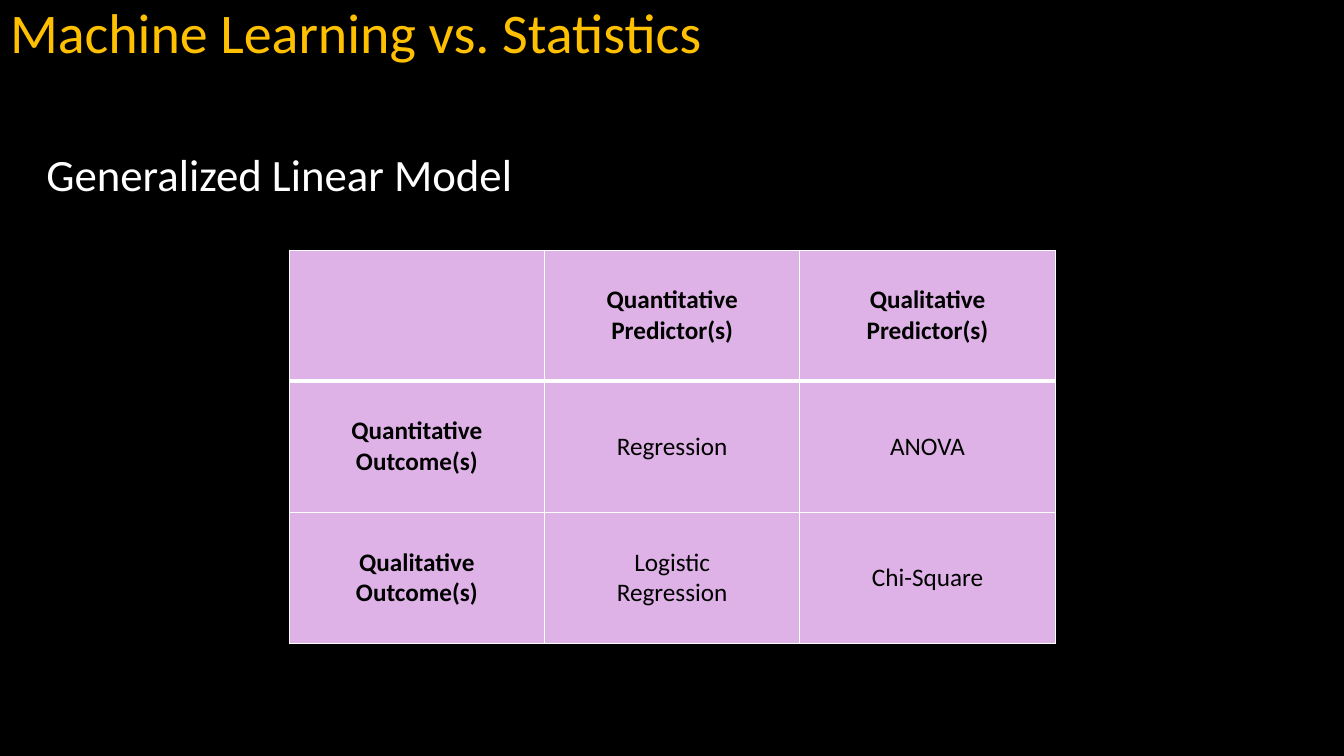
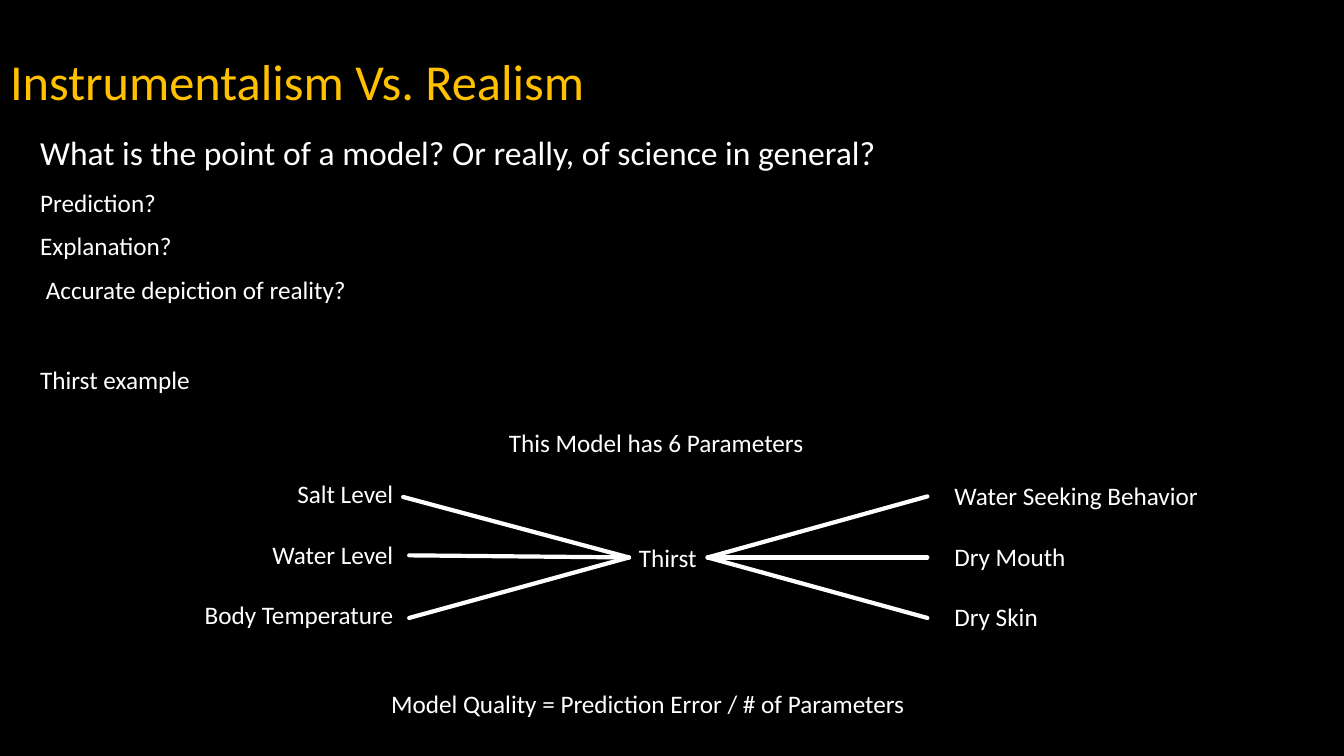
from dataclasses import dataclass

from lxml import etree
from pptx import Presentation
from pptx.dml.color import RGBColor
from pptx.enum.shapes import MSO_CONNECTOR
from pptx.enum.text import MSO_ANCHOR, PP_ALIGN
from pptx.oxml.ns import qn
from pptx.util import Pt

LEFT, CENTER, RIGHT = PP_ALIGN.LEFT, PP_ALIGN.CENTER, PP_ALIGN.RIGHT
MIDDLE = MSO_ANCHOR.MIDDLE
STRAIGHT = MSO_CONNECTOR.STRAIGHT
LEFT_SIDE, RIGHT_SIDE = 1, 3
TITLE_ONLY = 5


@dataclass(frozen=True)
class Theme:
    font: str = "Calibri"
    background: str = "000000"
    title: str = "FFC000"
    text: str = "FFFFFF"
    cell: str = "DEB2E6"
    cell_text: str = "000000"
    rule: str = "FFFFFF"
    heading_size: int = 32
    question_size: int = 24
    body_size: int = 18
    thin: int = 1
    thick: int = 3


class Deck:
    def __init__(self, theme):
        self.theme = theme
        self.prs = Presentation()
        self.prs.slide_width, self.prs.slide_height = Pt(960), Pt(540)
        fill = self.prs.slide_master.background.fill
        fill.solid()
        fill.fore_color.rgb = RGBColor.from_string(theme.background)
        self.slide = None

    def add_slide(self, title, size, height):
        self.slide = self.prs.slides.add_slide(self.prs.slide_layouts[TITLE_ONLY])
        holder = self.slide.shapes.title
        holder.left, holder.top = Pt(0), Pt(0)
        holder.width, holder.height = Pt(798), Pt(height)
        holder.text_frame.vertical_anchor = MIDDLE
        self.add_text(holder.text_frame.paragraphs[0], title, size, self.theme.title)

    def add_text(self, paragraph, text, size, color, align=LEFT, bold=False):
        paragraph.alignment = align
        run = paragraph.add_run()
        run.text = text
        run.font.name = self.theme.font
        run.font.size = Pt(size)
        run.font.bold = bold
        run.font.color.rgb = RGBColor.from_string(color)

    def text_box(self, lines, left, top, width, height, size=None, align=LEFT, gap=0, wrap=True):
        """Add a text box with one paragraph per line, each gap points apart."""
        box = self.slide.shapes.add_textbox(Pt(left), Pt(top), Pt(width), Pt(height))
        frame = box.text_frame
        frame.word_wrap = wrap
        for i, line in enumerate(lines):
            paragraph = frame.add_paragraph() if i else frame.paragraphs[0]
            if i:
                paragraph.space_before = Pt(gap)
            self.add_text(paragraph, line, size or self.theme.body_size, self.theme.text, align)
        return box

    def border(self, cell, side, width):
        line = etree.SubElement(cell._tc.get_or_add_tcPr(), qn(f"a:ln{side}"), w=str(Pt(width)))
        fill = etree.SubElement(line, qn("a:solidFill"))
        etree.SubElement(fill, qn("a:srgbClr"), val=self.theme.rule)

    def table(self, rows, left, top, column_width, row_height):
        """Add a grid whose first row and first column are bold."""
        theme, columns = self.theme, len(rows[0])
        table = self.slide.shapes.add_table(
            len(rows), columns, Pt(left), Pt(top),
            Pt(column_width * columns), Pt(row_height * len(rows))).table
        table.first_row = table.horz_banding = False
        for column in table.columns:
            column.width = Pt(column_width)
        for r, row in enumerate(rows):
            table.rows[r].height = Pt(row_height)
            for c, label in enumerate(row):
                cell = table.cell(r, c)
                for side in "LRTB":
                    under_header = (r, side) in ((0, "B"), (1, "T"))
                    self.border(cell, side, theme.thick if under_header else theme.thin)
                cell.fill.solid()
                cell.fill.fore_color.rgb = RGBColor.from_string(theme.cell)
                cell.vertical_anchor = MIDDLE
                if not label:
                    continue
                for i, line in enumerate(label.split("\n")):
                    frame = cell.text_frame
                    paragraph = frame.add_paragraph() if i else frame.paragraphs[0]
                    self.add_text(paragraph, line, theme.body_size, theme.cell_text,
                                  CENTER, bold=r == 0 or c == 0)

    def link(self, node, side, x, y):
        """Draw a line from the middle of a node's side to a point."""
        line = self.slide.shapes.add_connector(STRAIGHT, Pt(0), Pt(0), Pt(x), Pt(y))
        line.begin_connect(node, side)
        line.line.width = Pt(self.theme.thick)
        line.line.color.rgb = RGBColor.from_string(self.theme.rule)
        properties = line.element.spPr
        properties.find(qn("a:ln")).set("cap", "rnd")
        etree.SubElement(properties, qn("a:effectLst"))


def build_statistics(deck):
    deck.add_slide("Machine Learning vs. Statistics", 40, 44)
    deck.text_box(["Generalized Linear Model"], 26, 101.5, 908, 85, deck.theme.heading_size)
    deck.table([
        ["", "Quantitative\nPredictor(s)", "Qualitative\nPredictor(s)"],
        ["Quantitative\nOutcome(s)", "Regression", "ANOVA"],
        ["Qualitative\nOutcome(s)", "Logistic\nRegression", "Chi-Square"],
    ], 206.6, 178.7, 182.4, 93.6)


def build_realism(deck):
    deck.add_slide("Instrumentalism Vs. Realism", 36, 114.5)
    deck.text_box(["What is the point of a model? Or really, of science in general?"],
                  21.6, 90.7, 798, 37, deck.theme.question_size)
    deck.text_box(["Prediction?", "Explanation?", " Accurate depiction of reality?"],
                  21.6, 130, 798, 96, gap=9.6)
    deck.text_box(["Thirst example"], 21.6, 256.5, 798, 30)

    deck.text_box(["This Model has 6 Parameters"], 356.4, 301.7, 232, 29)
    deck.text_box(["Salt Level", "Water Level", "Body Temperature"],
                  132, 338.4, 156, 117, align=RIGHT, gap=21.5)
    deck.text_box(["Water Seeking Behavior", "Dry Mouth", "Dry Skin"],
                  674.6, 339.8, 200, 117, gap=21.5)
    thirst = deck.text_box(["Thirst"], 449.3, 383.7, 56.2, 29, wrap=False)
    for x, y in ((288, 355), (292.3, 396.7), (292.3, 441.4)):
        deck.link(thirst, LEFT_SIDE, x, y)
    for y in (354.6, 398.2, 441.4):
        deck.link(thirst, RIGHT_SIDE, 662.4, y)
    deck.text_box(["Model Quality = Prediction Error / # of Parameters"],
                  272.2, 488.2, 392, 29)


def main():
    deck = Deck(Theme())
    build_statistics(deck)
    build_realism(deck)
    deck.prs.save("out.pptx")


if __name__ == "__main__":
    main()
